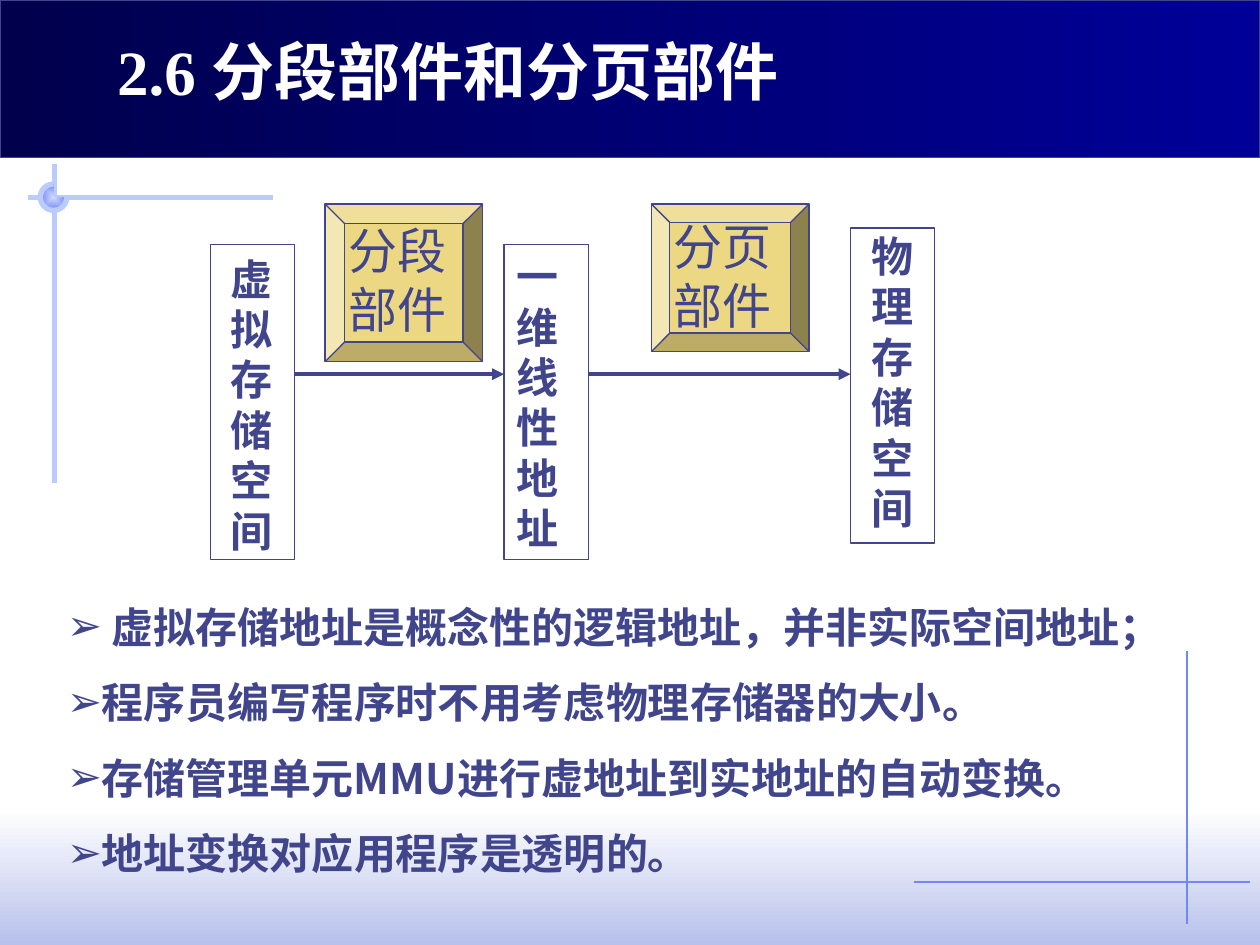
from dataclasses import dataclass

from lxml import etree
from pptx import Presentation
from pptx.dml.color import RGBColor
from pptx.enum.shapes import MSO_CONNECTOR, MSO_SHAPE
from pptx.enum.text import MSO_ANCHOR, MSO_AUTO_SIZE, PP_ALIGN
from pptx.oxml.ns import qn
from pptx.util import Inches, Pt

RECTANGLE, BEVEL = MSO_SHAPE.RECTANGLE, MSO_SHAPE.BEVEL
PIE, ARC = MSO_SHAPE.PIE, MSO_SHAPE.ARC
STRAIGHT = MSO_CONNECTOR.STRAIGHT
TOP, LEFT, NO_FIT = MSO_ANCHOR.TOP, PP_ALIGN.LEFT, MSO_AUTO_SIZE.NONE

COLORS = {
    "ink": "40458C", "white": "FFFFFF", "gold": "ECD882",
    "band_dark": "00004D", "band_light": "000099", "footer": "B7C1EB",
    "cross": "BBCBFD", "node": "CFDBFD", "rule": "6F89F7",
}
SERIF, SANS = "Times New Roman", "Noto Sans CJK SC"


@dataclass
class Box:
    left: float
    top: float
    width: float
    height: float

    def lengths(self) -> tuple:
        return tuple(map(Inches, (self.left, self.top, self.width, self.height)))


@dataclass
class Block:
    label: str
    frame: Box
    label_box: Box


@dataclass
class Line:
    start: tuple[float, float]
    end: tuple[float, float]
    color: str
    width: float
    arrow: bool = False


SPACES = [
    Block("物理存储空间", Box(6.75, 1.81, 0.67, 2.5), Box(6.82, 1.78, 0.6, 2.5)),
    Block("一维线性地址", Box(4, 1.94, 0.67, 2.5), Box(4, 1.94, 0.68, 2.5)),
    Block("虚拟存储空间", Box(1.67, 1.94, 0.67, 2.5), Box(1.73, 1.96, 0.6, 2.5)),
]
UNITS = [
    Block("分页部件", Box(5.17, 1.62, 1.25, 1.17), Box(5.25, 1.67, 1.1, 1.03)),
    Block("分段部件", Box(2.58, 1.62, 1.25, 1.25), Box(2.67, 1.7, 1.02, 1.03)),
]
CROSS = [
    Line((2.17, 1.57), (0.22, 1.57), "cross", 3),
    Line((0.43, 1.3), (0.43, 3.83), "cross", 3),
]
CORNER_RULES = [
    Line((9.42, 5.17), (9.42, 7.33), "rule", 0.75),
    Line((7.25, 7), (9.92, 7), "rule", 0.75),
]
ARROWS = [
    Line((2.33, 2.97), (4, 2.97), "ink", 2.25, True),
    Line((4.67, 2.97), (6.75, 2.97), "ink", 2.25, True),
]
POINTS = [
    " 虚拟存储地址是概念性的逻辑地址，并非实际空间地址；",
    "程序员编写程序时不用考虑物理存储器的大小。",
    "存储管理单元MMU进行虚地址到实地址的自动变换。",
    "地址变换对应用程序是透明的。",
]


def rgb(color: str) -> RGBColor:
    return RGBColor.from_string(COLORS[color])


def add_figure(slide, kind, box: Box, fill: str | None = None,
               line: str | None = None, width: float = 0.75):
    figure = slide.shapes.add_shape(kind, *box.lengths())
    figure.shadow.inherit = False
    if fill:
        figure.fill.solid()
        figure.fill.fore_color.rgb = rgb(fill)
    else:
        figure.fill.background()
    if line:
        figure.line.color.rgb = rgb(line)
        figure.line.width = Pt(width)
    else:
        figure.line.fill.background()
    return figure


def set_gradient(figure, first: str, last: str, angle: float = 0) -> None:
    figure.fill.gradient()
    figure.fill.gradient_angle = angle
    for stop, color in zip(figure.fill.gradient_stops, (first, last)):
        stop.color.rgb = rgb(color)


def make_radial(figure) -> None:
    linear = next(figure._element.iter(qn("a:lin")))
    gradient = linear.getparent()
    gradient.remove(linear)
    radial = etree.SubElement(gradient, qn("a:path"), path="shape")
    etree.SubElement(radial, qn("a:fillToRect"),
                     l="50000", t="50000", r="50000", b="50000")


def add_line(slide, line: Line) -> None:
    connector = slide.shapes.add_connector(
        STRAIGHT, *map(Inches, (*line.start, *line.end)))
    connector.line.color.rgb = rgb(line.color)
    connector.line.width = Pt(line.width)
    if line.arrow:
        etree.SubElement(connector.line._get_or_add_ln(), qn("a:tailEnd"), type="triangle")
    etree.SubElement(connector._element.spPr, qn("a:effectLst"))


def format_runs(paragraph, size: float, color: str, bold: bool, font: str) -> None:
    for run in paragraph.runs:
        run.font.size, run.font.bold, run.font.name = Pt(size), bold, font
        run.font.color.rgb = rgb(color)
        etree.SubElement(run._r.get_or_add_rPr(), qn("a:ea"), typeface=SANS)


def add_block(slide, block: Block, kind, fill: str, size: float, bold: bool) -> None:
    add_figure(slide, kind, block.frame, fill, "ink")
    frame = slide.shapes.add_textbox(*block.label_box.lengths()).text_frame
    frame.word_wrap = True
    frame.text = block.label
    format_runs(frame.paragraphs[0], size, "ink", bold, SERIF)


def place(slide, placeholder, box: Box):
    slide.shapes._spTree.append(placeholder._element)
    (placeholder.left, placeholder.top,
     placeholder.width, placeholder.height) = box.lengths()
    frame = placeholder.text_frame
    frame.word_wrap = True
    frame.auto_size = NO_FIT
    frame.vertical_anchor = TOP
    return frame


def add_backdrop(slide) -> None:
    footer = add_figure(slide, RECTANGLE, Box(0, 6.42, 10, 1.08))
    set_gradient(footer, "white", "footer", 270)
    for line in CROSS + CORNER_RULES:
        add_line(slide, line)
    node_box = Box(0.32, 1.46, 0.21, 0.21)
    node = add_figure(slide, PIE, node_box)
    set_gradient(node, "node", "rule")
    make_radial(node)
    ring = add_figure(slide, ARC, node_box, line="cross", width=3)
    ring.adjustments[0], ring.adjustments[1] = 0, 162
    band = add_figure(slide, RECTANGLE, Box(0, 0, 10, 1.25), line="ink")
    set_gradient(band, "band_dark", "band_light")


def add_title(slide) -> None:
    frame = place(slide, slide.shapes.title, Box(0.83, 0.21, 6.59, 0.71))
    frame.text = "2.6 分段部件和分页部件"
    heading = frame.paragraphs[0]
    heading.alignment = LEFT
    format_runs(heading, 36, "white", True, SERIF)


def add_points(slide) -> None:
    frame = place(slide, slide.placeholders[1], Box(0.43, 4.52, 9.06, 2.45))
    frame.text = "\n".join(POINTS)
    for point in frame.paragraphs:
        point.line_spacing = 1.5
        point.space_before = Pt(0)
        properties = point._p.get_or_add_pPr()
        properties.set("marL", "0")
        properties.set("indent", "0")
        etree.SubElement(properties, qn("a:buChar"), char="➢")
        format_runs(point, 24, "ink", True, SANS)


def main() -> None:
    deck = Presentation()
    deck.slide_width, deck.slide_height = Inches(10), Inches(7.5)
    slide = deck.slides.add_slide(deck.slide_layouts[1])
    add_backdrop(slide)
    for unit in UNITS:
        add_block(slide, unit, BEVEL, "gold", 28, False)
    for space in SPACES:
        add_block(slide, space, RECTANGLE, "white", 24, True)
    for arrow in ARROWS:
        add_line(slide, arrow)
    add_points(slide)
    add_title(slide)
    deck.save("out.pptx")


if __name__ == "__main__":
    main()
